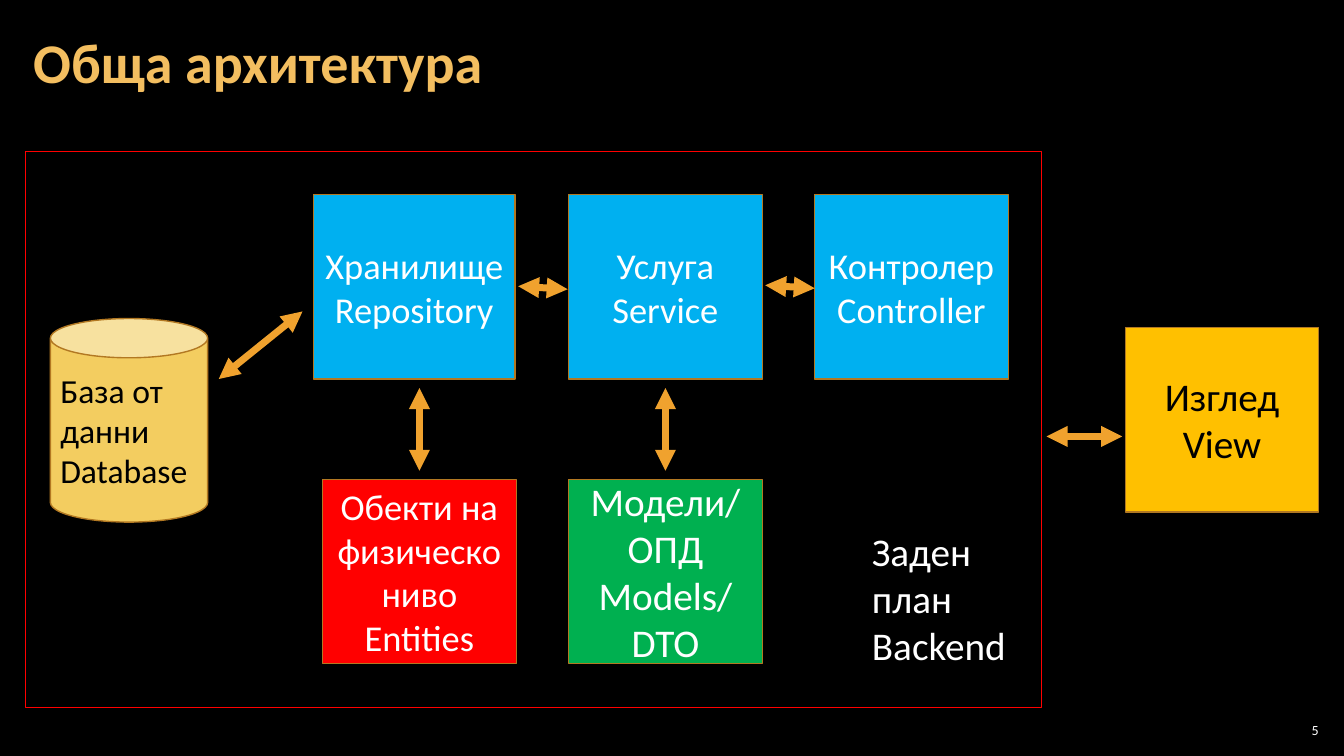
from lxml.etree import SubElement
from pptx import Presentation
from pptx.dml.color import RGBColor
from pptx.enum.shapes import MSO_CONNECTOR, MSO_SHAPE
from pptx.enum.text import MSO_ANCHOR, PP_ALIGN
from pptx.oxml.ns import qn
from pptx.util import Inches, Pt


def color(value):
    return RGBColor.from_string(value)


def write(box, text, size, ink="FFFFFF", bold=False, align=PP_ALIGN.LEFT,
          anchor=MSO_ANCHOR.MIDDLE, inset=(0.1, 0.05), spacing=None):
    frame = box.text_frame
    frame.word_wrap = True
    frame.vertical_anchor = anchor
    frame.margin_left = frame.margin_right = Inches(inset[0])
    frame.margin_top = frame.margin_bottom = Inches(inset[1])
    frame.text = text
    for para in frame.paragraphs:
        para.alignment = align
        para.line_spacing = spacing
        for span in para.runs:
            span.font.name = "Calibri"
            span.font.size = Pt(size)
            span.font.bold = bold
            span.font.color.rgb = color(ink)


deck = Presentation()
deck.slide_width, deck.slide_height = Inches(13.33), Inches(7.5)
page = deck.slides.add_slide(deck.slide_layouts[6])
page.background.fill.solid()
page.background.fill.fore_color.rgb = color("000000")

# Backend frame
backend = page.shapes.add_shape(MSO_SHAPE.RECTANGLE, Inches(0.25), Inches(1.5),
                                Inches(10.08), Inches(5.52))
backend.shadow.inherit = False
backend.fill.background()
backend.line.color.rgb = color("FF0000")
backend.line.width = Pt(1)

# Title, page number and backend label
title = page.shapes.add_textbox(Inches(0.21), Inches(0.04), Inches(10.47), Inches(1.21))
write(title, "Обща архитектура", 40, ink="F3BE60", bold=True, inset=(0.12, 0.04), spacing=0.9)
number = page.shapes.add_textbox(Inches(12.65), Inches(7.14), Inches(0.47), Inches(0.21))
write(number, "5", 10, align=PP_ALIGN.RIGHT, inset=(0.04, 0.04))
label = page.shapes.add_textbox(Inches(8.55), Inches(5.18), Inches(1.54), Inches(1.51))
write(label, "Заден план\nBackend", 28, anchor=MSO_ANCHOR.TOP)

# Components: shape, left, top, width, height, fill, text, size, ink, alignment
BOX, CAN = MSO_SHAPE.RECTANGLE, MSO_SHAPE.CAN
LEFT, CENTER = PP_ALIGN.LEFT, PP_ALIGN.CENTER
UPPER, LOWER = 1.93, 4.76
components = [
    (CAN, 0.5, 3.16, 1.56, 2.02, "F3CD60", "База от данни\nDatabase", 24, "000000", LEFT),
    (BOX, 3.11, UPPER, 2, 1.83, "00B0F0", "Хранилище\nRepository", 26, "FFFFFF", CENTER),
    (BOX, 5.64, UPPER, 1.92, 1.83, "00B0F0", "Услуга\nService", 26, "FFFFFF", CENTER),
    (BOX, 8.08, UPPER, 1.92, 1.83, "00B0F0", "Контролер\nController", 26, "FFFFFF", CENTER),
    (BOX, 3.2, LOWER, 1.92, 1.82, "FF0000", "Обекти на физическо ниво\nEntities",
     26, "FFFFFF", CENTER),
    (BOX, 5.64, LOWER, 1.92, 1.82, "00B050", "Модели/\nОПД\nModels/\vDTO", 28, "FFFFFF", CENTER),
    (BOX, 11.16, 3.25, 1.92, 1.83, "FFC000", "Изглед\nView", 28, "000000", CENTER),
]
for kind, left, top, width, height, fill, text, size, ink, align in components:
    component = page.shapes.add_shape(kind, Inches(left), Inches(top),
                                      Inches(width), Inches(height))
    component.shadow.inherit = False
    component.fill.solid()
    component.fill.fore_color.rgb = color(fill)
    component.line.color.rgb = color("B27822")
    component.line.width = Pt(1)
    write(component, text, size, ink=ink, align=align)

# Two-way arrows: start x, start y, end x, end y
arrows = [
    (2.17, 3.76, 3, 3.09),
    (4.16, 4.67, 4.16, 3.85),
    (6.6, 4.67, 6.6, 3.85),
    (5.14, 2.84, 5.63, 2.87),
    (7.59, 2.83, 8.08, 2.86),
    (10.38, 4.33, 11.13, 4.33),
]
for ends in arrows:
    arrow = page.shapes.add_connector(MSO_CONNECTOR.STRAIGHT, *map(Inches, ends))
    arrow.line.color.rgb = color("F0A22E")
    arrow.line.width = Pt(5)
    properties = arrow.line._get_or_add_ln()
    for tag in ("a:headEnd", "a:tailEnd"):
        SubElement(properties, qn(tag), type="triangle")
    SubElement(properties.getparent(), qn("a:effectLst"))

deck.save("out.pptx")
